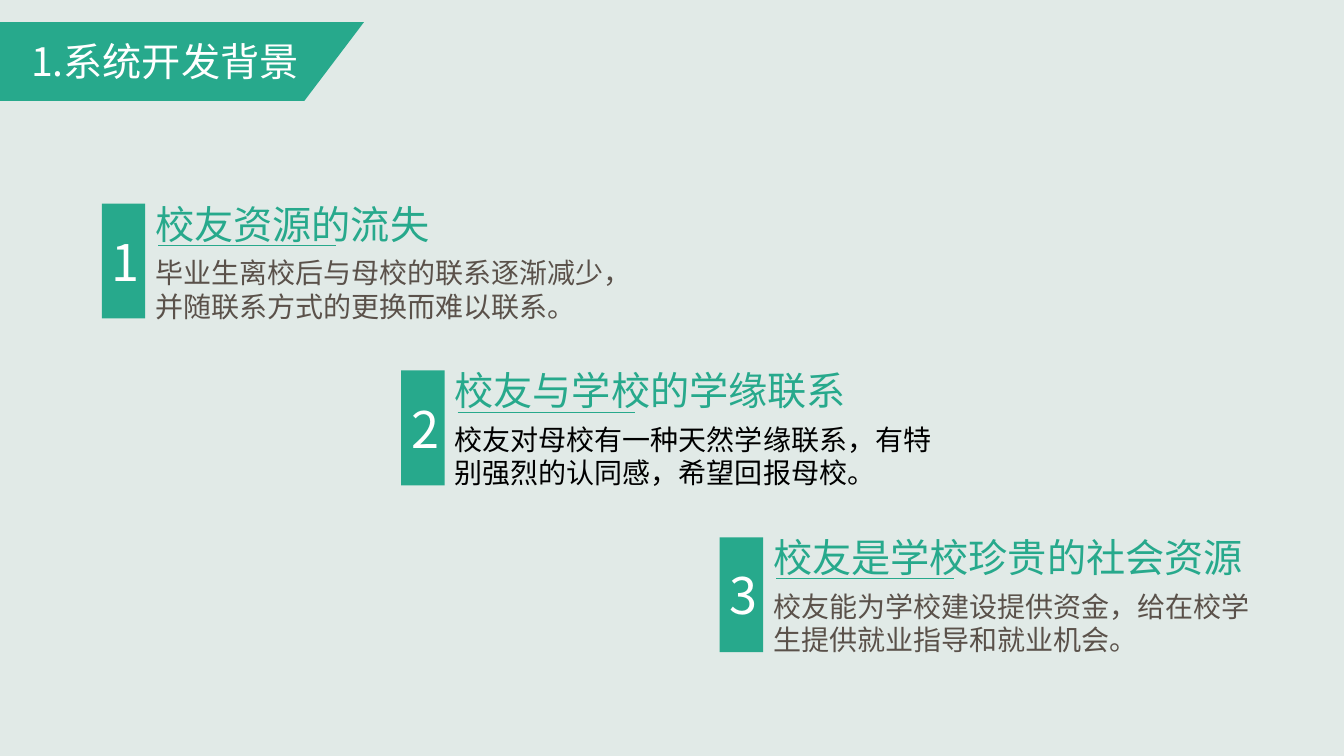
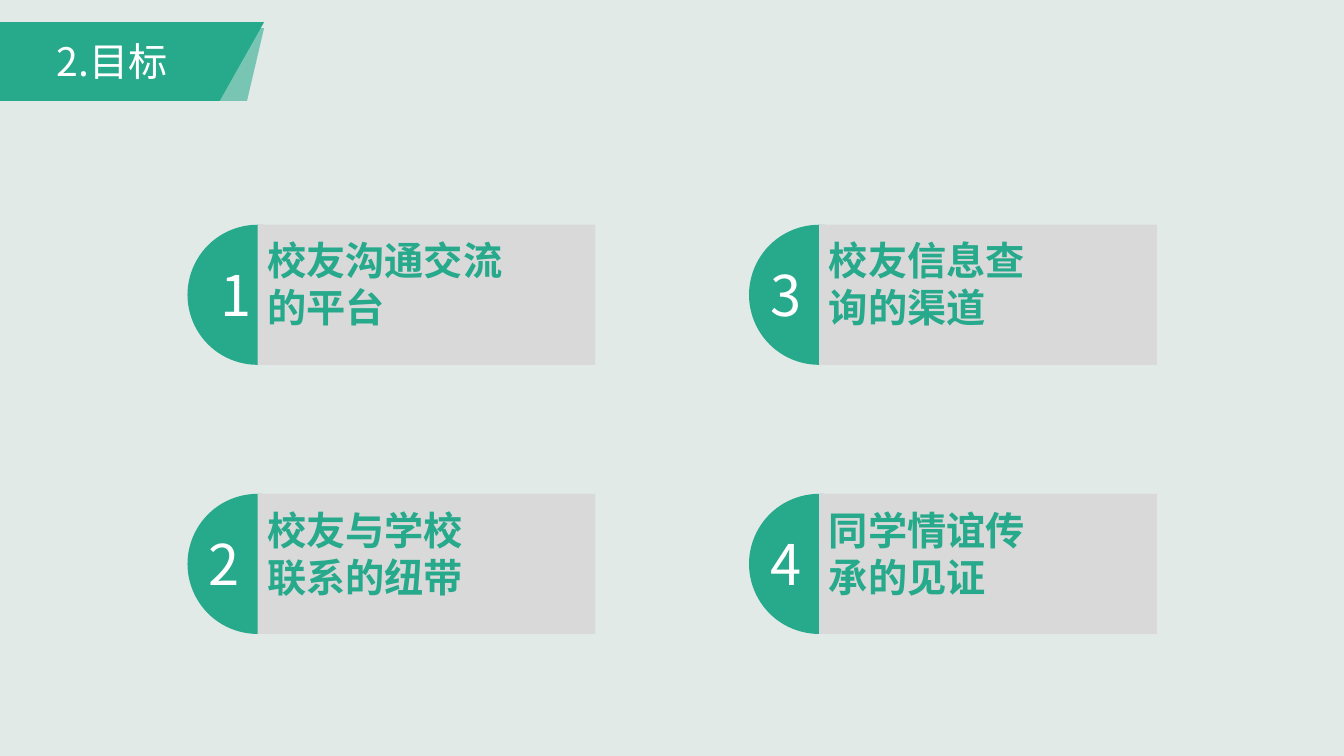
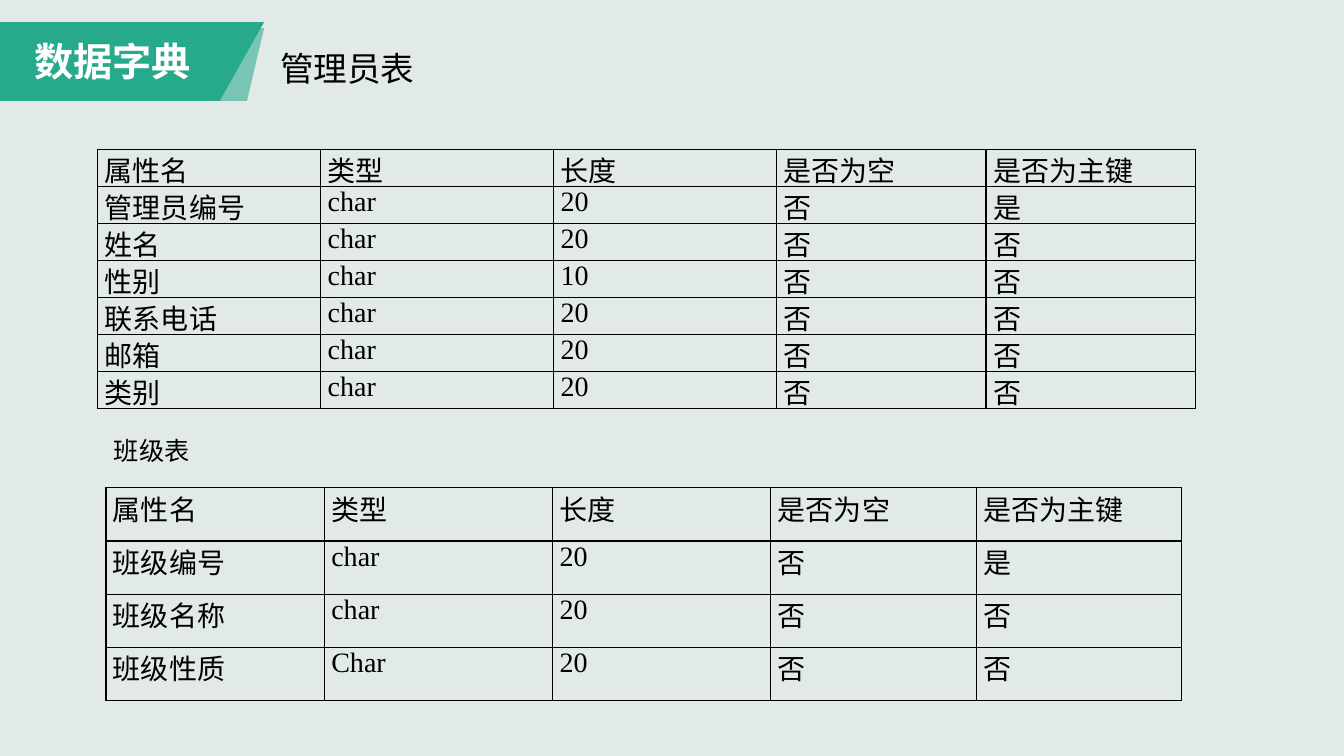
from dataclasses import dataclass
from lxml import etree
from pptx import Presentation, util as u
from pptx.dml.color import RGBColor
from pptx.enum import shapes as sh, text as tx
from pptx.oxml.ns import qn

GREEN = RGBColor(0x27, 0xA9, 0x8C)
PALE = RGBColor(0xE1, 0xEA, 0xE7)
GREY = RGBColor(0xD9, 0xD9, 0xD9)
BROWN = RGBColor(0x5A, 0x51, 0x4A)
WHITE = RGBColor(0xFF, 0xFF, 0xFF)
BLACK = RGBColor(0, 0, 0)
SANS, PLAIN, SERIF = "Noto Sans CJK JP", "Calibri", "Times New Roman"
WIDE, HIGH = u.Inches(13.33), u.Inches(7.5)
LEFT, MID = tx.PP_ALIGN.LEFT, tx.PP_ALIGN.CENTER
COLS = (16.58, 17.33, 16.58, 15.6, 15.6)
HEAD = "属性名 类型 长度 是否为空 是否为主键"


@dataclass
class Band:
    top: float
    foot: float
    width: float
    tail: bool = True


@dataclass
class Point:
    x: float
    head: str
    width: float
    body: str
    color: RGBColor = BROWN
    font: str = SANS


@dataclass
class Goal:
    label: str
    width: float
    shift: float = 0.83


@dataclass
class Grid:
    x: float
    y: float
    scale: float
    row: float
    lines: tuple[str, ...]


LONG = Band(27.08, 22.65, 24.83, False)
SHORT = Band(19.65, 16.35, 17.03)
POINTS = (
    Point(7.58, "校友资源的流失", 22.43, "毕业生离校后与母校的联系逐渐减少，并随联系方式的更换而难以联系。"),
    Point(29.85, "校友与学校的学缘联系", 35.1,
          "校友对母校有一种天然学缘联系，有特别强烈的认同感，希望回报母校。", BLACK, PLAIN),
    Point(53.55, "校友是学校珍贵的社会资源", 40.35, "校友能为学校建设提供资金，给在校学生提供就业指导和就业机会。"),
)
GOALS = (
    Goal("校友沟通交流的平台", 19.73, 1.73),
    Goal("校友与学校联系的纽带", 18),
    Goal("校友信息查询的渠道", 17.1),
    Goal("同学情谊传承的见证", 17.4),
)
ADMIN = Grid(7.28, 19.73, 1, 4.9, (
    HEAD, "管理员编号 char 20 否 是", "姓名 char 20 否 否", "性别 char 10 否 否",
    "联系电话 char 20 否 否", "邮箱 char 20 否 否", "类别 char 20 否 否"))
GROUP = Grid(7.88, 64.53, 0.98, 7.03, (
    HEAD, "班级编号 char 20 否 是", "班级名称 char 20 否 否", "班级性质 Char 20 否 否"))


def across(share: float) -> int:
    return round(WIDE * share / 100)


def down(share: float) -> int:
    return round(HIGH * share / 100)


def area(x: float, y: float, w: float, h: float) -> tuple[int, int, int, int]:
    return across(x), down(y), across(w), down(h)


def write(frame, words: str, *, size: float, color=BLACK, font=SANS,
          bold=False, align=LEFT, east=True) -> None:
    para = frame.paragraphs[0]
    para.alignment = align
    run = para.add_run()
    run.text = words
    face = run.font
    face.size, face.name, face.bold = u.Pt(size), font, bold
    face.color.rgb = color
    if east:
        etree.SubElement(run._r.get_or_add_rPr(), qn("a:ea"), typeface=SANS)


def label(page, box: tuple, words: str, **style) -> None:
    frame = page.shapes.add_textbox(*area(*box)).text_frame
    frame.word_wrap = True
    write(frame, words, **style)


def paint(shape, color: RGBColor):
    shape.shadow.inherit = False
    shape.fill.solid()
    shape.fill.fore_color.rgb = color
    shape.line.fill.background()
    return shape


def block(page, kind, box: tuple, color: RGBColor):
    return paint(page.shapes.add_shape(kind, *area(*box)), color)


def slant(page, y: float, top: float, foot: float):
    base = down(13.33)
    form = page.shapes.build_freeform(0, down(y), scale=1.0)
    form.add_line_segments([(across(top), down(y)), (across(foot), base), (0, base)])
    return paint(form.convert_to_shape(), GREEN)


def start(deck, name: str, band: Band, bold: bool = False):
    page = deck.slides.add_slide(deck.slide_layouts[5])
    if band.tail:
        tail = slant(page, 3.73, 19.65, 18.38)
        tint = tail.element.find(".//" + qn("a:srgbClr"))
        etree.SubElement(tint, qn("a:alpha"), val="56000")
    slant(page, 2.93, band.top, band.foot)
    title = page.shapes.title
    title.left, title.top, title.width, title.height = area(-0.15, 4.27, band.width, 7.6)
    title.element.getparent().append(title.element)
    frame = title.text_frame
    frame.word_wrap = True
    frame.auto_size = tx.MSO_AUTO_SIZE.NONE
    frame.vertical_anchor = tx.MSO_ANCHOR.TOP
    write(frame, name, size=28, color=WHITE, bold=bold, align=MID)
    return page


def point(page, rank: int, item: Point) -> None:
    x, y = item.x, 26.93 + 22.07 * rank
    bar = block(page, sh.MSO_SHAPE.RECTANGLE, (x, y, 3.23, 15.2), GREEN)
    bar.text_frame.vertical_anchor = tx.MSO_ANCHOR.MIDDLE
    write(bar.text_frame, str(rank + 1), size=36, color=WHITE, align=MID)
    level = down(y + 5.5)
    rule = page.shapes.add_connector(
        sh.MSO_CONNECTOR.STRAIGHT, across(x + 4.2), level, across(x + 17.4), level)
    rule.line.color.rgb = GREEN
    rule.line.width = u.Pt(0.5)
    etree.SubElement(rule.element.spPr, qn("a:effectLst"))
    label(page, (x + 3.23, y - 1.15, item.width, 7.6), item.head, size=28, color=GREEN)
    label(page, (x + 3.23, y + 6.2, 37.05, 10.27), item.body,
          size=20, color=item.color, font=item.font)


def goal(page, rank: int, item: Goal) -> None:
    col, row = divmod(rank, 2)
    x, y = 13.95 + 41.78 * col, 29.73 + 35.6 * row
    block(page, sh.MSO_SHAPE.OVAL, (x, y, 10.43, 18.53), GREEN)
    block(page, sh.MSO_SHAPE.RECTANGLE, (x + 5.21, y, 25.13, 18.53), GREY)
    label(page, (x + item.shift, y + 4.07, 3.9, 10.27), str(rank + 1), size=40, color=WHITE)
    label(page, (x + 5.21, y + 0.93, item.width, 13.87), item.label,
          size=28, color=GREEN, bold=True)


def edge(cell) -> None:
    props = cell._tc.get_or_add_tcPr()
    for side in ("L", "R", "T", "B"):
        line = etree.SubElement(props, qn("a:ln" + side), w=str(u.Pt(1)))
        fill = etree.SubElement(line, qn("a:solidFill"))
        etree.SubElement(fill, qn("a:srgbClr"), val=str(BLACK))


def grid(page, data: Grid) -> None:
    count = len(data.lines)
    box = area(data.x, data.y, sum(COLS) * data.scale, data.row * count)
    table = page.shapes.add_table(count, len(COLS), *box).table
    table.first_row = table.horz_banding = False
    for col, width in zip(table.columns, COLS):
        col.width = across(width * data.scale)
    for row, line in zip(table.rows, data.lines):
        row.height = down(data.row)
        for cell, words in zip(row.cells, line.split()):
            cell.margin_left = cell.margin_right = u.Inches(0.07)
            cell.margin_top = cell.margin_bottom = 0
            edge(cell)
            cell.fill.background()
            align = tx.PP_ALIGN.JUSTIFY if words == "是否为空" else LEFT
            write(cell.text_frame, words, size=20, font=SERIF, align=align, east=False)


def main() -> None:
    deck = Presentation()
    deck.slide_width, deck.slide_height = WIDE, HIGH
    back = deck.slide_master.background.fill
    back.solid()
    back.fore_color.rgb = PALE

    page = start(deck, "1.系统开发背景", LONG)
    for rank, item in enumerate(POINTS):
        point(page, rank, item)

    page = start(deck, "2.目标", SHORT)
    for rank, item in enumerate(GOALS):
        goal(page, rank, item)

    page = start(deck, "数据字典", SHORT, bold=True)
    label(page, (20.1, 5.73, 22.05, 6.67), "管理员表", size=24, font=PLAIN)
    grid(page, ADMIN)
    grid(page, GROUP)
    label(page, (7.73, 56.93, 15.38, 5.33), "班级表", size=18, font=PLAIN)
    deck.save("out.pptx")


if __name__ == "__main__":
    main()
